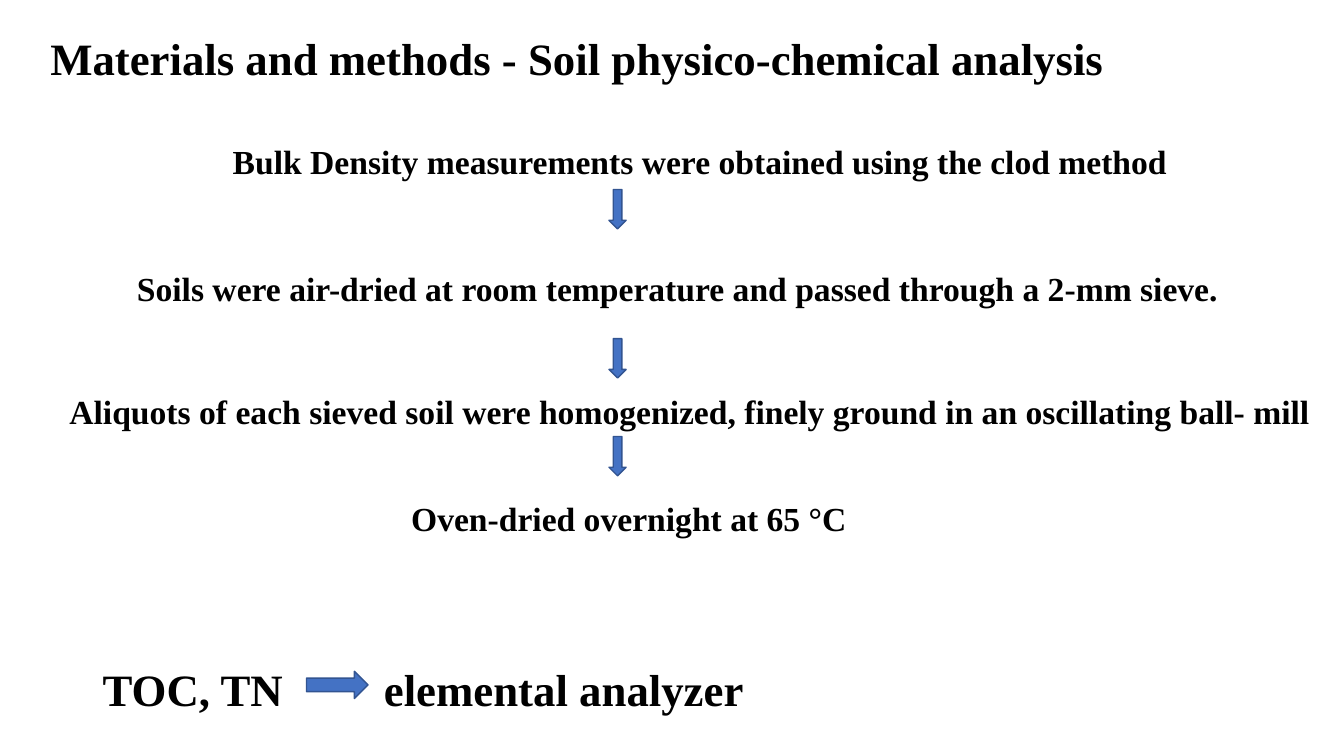
from pptx import Presentation
from pptx import util as u
from pptx.dml.color import RGBColor
from pptx.enum import shapes, text

BLACK = RGBColor(0x00, 0x00, 0x00)
BLUE = RGBColor(0x44, 0x72, 0xC4)
DARK_BLUE = RGBColor(0x32, 0x54, 0x91)
FONT = "Times New Roman"

TITLE = "Materials and methods - Soil physico-chemical analysis"
# Each step: wording, left, top, width
STEPS = [
    ("Bulk Density measurements were obtained using the clod method", 2.21, 1.15, 11),
    ("Soils were air-dried at room temperature and passed through a 2-mm sieve.",
     1.26, 2.41, 11.29),
    ("Aliquots of each sieved soil were homogenized, finely ground in an "
     "oscillating ball- mill", 0.59, 3.63, 12.63),
    ("Oven-dried overnight at 65 °C", 3.98, 4.69, 9.2),
]
STEP_ARROW_TOPS = [1.88, 3.36, 4.33]
# Each part of the bottom line: wording, left, width
ANALYSIS = [("TOC, TN", 0.92, 2.1), ("elemental analyzer", 3.71, 4.57)]
ANALYSIS_TOP = 6.25


def add_text(page, wording, left, top, width, height, size, spacing=1.5):
    """Add one bold line of text in its own box."""
    box = page.shapes.add_textbox(*map(u.Inches, (left, top, width, height)))
    frame = box.text_frame
    frame.word_wrap = True
    frame.auto_size = text.MSO_AUTO_SIZE.SHAPE_TO_FIT_TEXT
    para = frame.paragraphs[0]
    para.text = wording
    para.line_spacing = spacing
    para.font.name = FONT
    para.font.size = u.Pt(size)
    para.font.bold = True
    para.font.color.rgb = BLACK


def add_arrow(page, kind, left, top, width, height):
    """Add a blue block arrow."""
    arrow = page.shapes.add_shape(kind, *map(u.Inches, (left, top, width, height)))
    arrow.shadow.inherit = False
    arrow.fill.solid()
    arrow.fill.fore_color.rgb = BLUE
    arrow.line.color.rgb = DARK_BLUE
    arrow.line.width = u.Pt(1)


deck = Presentation()
deck.slide_width, deck.slide_height = u.Inches(13.33), u.Inches(7.5)
page = deck.slides.add_slide(deck.slide_layouts[6])

add_text(page, TITLE, 0.4, 0.26, 11.61, 0.64, 32, spacing=1.0)
for wording, left, top, width in STEPS:
    add_text(page, wording, left, top, width, 0.63, 24)
for top in STEP_ARROW_TOPS:
    add_arrow(page, shapes.MSO_SHAPE.DOWN_ARROW, 6.04, top, 0.17, 0.39)
for wording, left, width in ANALYSIS:
    add_text(page, wording, left, ANALYSIS_TOP, width, 0.81, 32)
add_arrow(page, shapes.MSO_SHAPE.RIGHT_ARROW, 3.04, 6.66, 0.61, 0.27)

deck.save("out.pptx")
